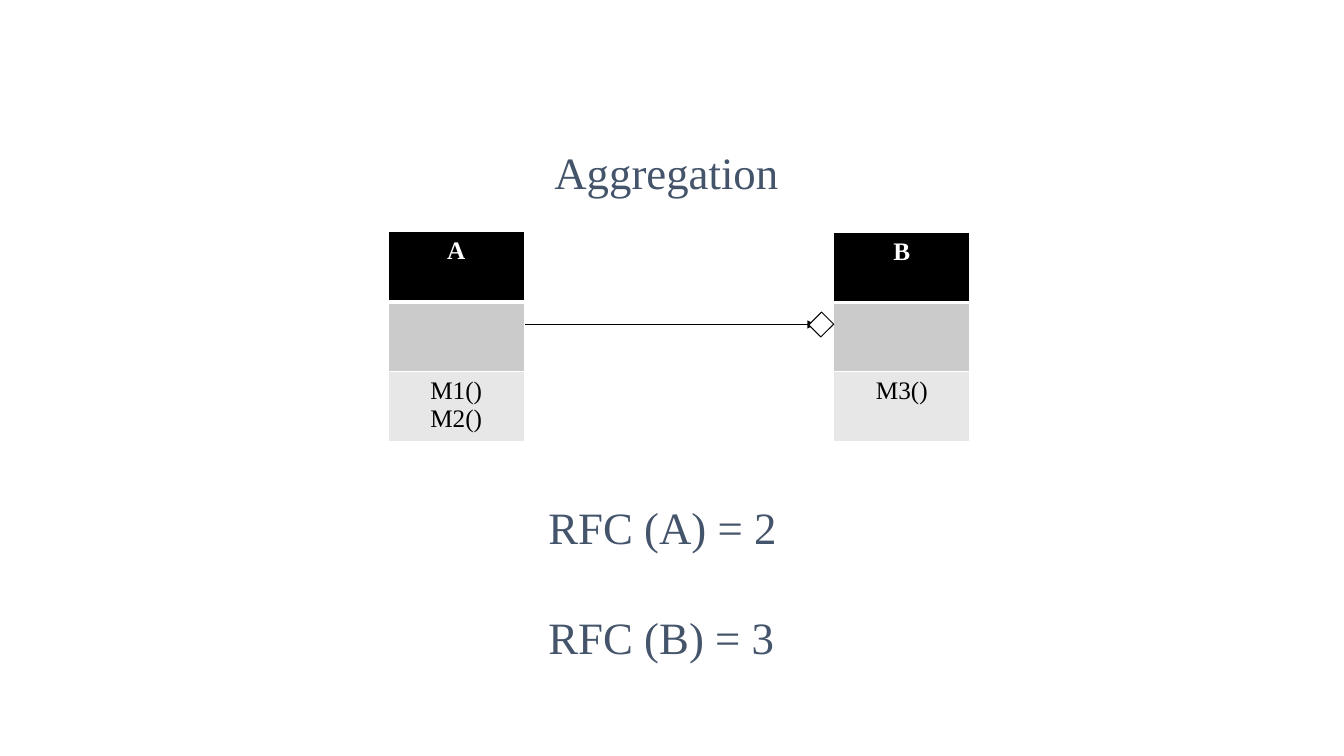
"""Build the Aggregation slide: two class tables joined by an aggregation line."""
import pptx
import pptx.util
import pptx.dml.color
import pptx.enum.shapes
import pptx.enum.text
import pptx.oxml
import pptx.oxml.ns
from lxml import etree

FONT = "Times New Roman"
COLOURS = {"heading": "44546A", "black": "000000", "white": "FFFFFF",
           "attributes": "CBCBCB", "methods": "E7E7E7"}
CLASSES = [(("A", "", "M1()\vM2()"), 3.85, 2.3), (("B", "", "M3()"), 8.27, 2.31)]
BANDS = [("black", "white", True), ("attributes", "black", False), ("methods", "black", False)]
HEADINGS = [(["Aggregation"], (5.4, 1.39, 2.44, 0.64)),
            (["RFC (A) = 2", "RFC (B) = 3"], (5.34, 4.91, 2.49, 1.72))]
CLASS_WIDTH, CLASS_BOTTOM = 1.35, 4.38
LINK_START, LINK_END, LINK_Y = 5.2, 8.09, 3.22
DIAMOND = (8.06, 3.13, 0.17, 0.18)
inch = pptx.util.Inches


def colour(name):
    return pptx.dml.color.RGBColor.from_string(COLOURS[name])


def style(font, size, name, bold=False):
    font.name, font.size, font.bold = FONT, pptx.util.Pt(size), bold
    font.color.rgb = colour(name)


def add_heading(slide, lines, place):
    frame = slide.shapes.add_textbox(*map(inch, place)).text_frame
    frame.word_wrap = False
    frame.auto_size = pptx.enum.text.MSO_AUTO_SIZE.SHAPE_TO_FIT_TEXT
    frame.text = "\n".join(lines)
    for number, paragraph in enumerate(frame.paragraphs):
        if number:
            paragraph.space_before = pptx.util.Pt(40)
        style(paragraph.runs[0].font, 32, "heading")


def add_borders(cell, top, bottom):
    properties = cell._tc.get_or_add_tcPr()
    for position, (side, points) in enumerate([("L", 1), ("R", 1), ("T", top), ("B", bottom)]):
        border = pptx.oxml.parse_xml(
            f'<a:ln{side} {pptx.oxml.ns.nsdecls("a")} w="{pptx.util.Pt(points)}">'
            f'<a:solidFill><a:srgbClr val="{COLOURS["white"]}"/></a:solidFill></a:ln{side}>')
        properties.insert(position, border)


def add_class(slide, texts, left, top):
    height = CLASS_BOTTOM - top
    table = slide.shapes.add_table(len(texts), 1, inch(left), inch(top),
                                   inch(CLASS_WIDTH), inch(height)).table
    for row, (text, (fill, ink, bold)) in enumerate(zip(texts, BANDS)):
        cell = table.cell(row, 0)
        cell.fill.solid()
        cell.fill.fore_color.rgb = colour(fill)
        add_borders(cell, 3 if row == 1 else 1, 3 if row == 0 else 1)
        paragraph = cell.text_frame.paragraphs[0]
        paragraph.text = text
        paragraph.alignment = pptx.enum.text.PP_ALIGN.CENTER
        for run in paragraph.runs:
            style(run.font, 18, ink, bold)


def add_link(slide):
    link = slide.shapes.add_connector(pptx.enum.shapes.MSO_CONNECTOR.STRAIGHT,
                                      *map(inch, (LINK_START, LINK_Y, LINK_END, LINK_Y)))
    link.line.color.rgb = colour("black")
    link.line.width = pptx.util.Pt(0.75)
    etree.SubElement(link.line._get_or_add_ln(), pptx.oxml.ns.qn("a:tailEnd"), type="triangle")
    etree.SubElement(link._element.spPr, pptx.oxml.ns.qn("a:effectLst"))


def add_diamond(slide):
    diamond = slide.shapes.add_shape(pptx.enum.shapes.MSO_SHAPE.RECTANGLE, *map(inch, DIAMOND))
    diamond.rotation = 45
    diamond.shadow.inherit = False
    diamond.fill.solid()
    diamond.fill.fore_color.rgb = colour("white")
    diamond.line.color.rgb = colour("black")
    diamond.line.width = pptx.util.Pt(0.75)


def main():
    deck = pptx.Presentation()
    deck.slide_width, deck.slide_height = inch(13.33), inch(7.5)
    slide = deck.slides.add_slide(deck.slide_layouts[6])
    add_link(slide)
    for texts, left, top in CLASSES:
        add_class(slide, texts, left, top)
    for lines, place in HEADINGS:
        add_heading(slide, lines, place)
    add_diamond(slide)
    deck.save("out.pptx")


if __name__ == "__main__":
    main()
